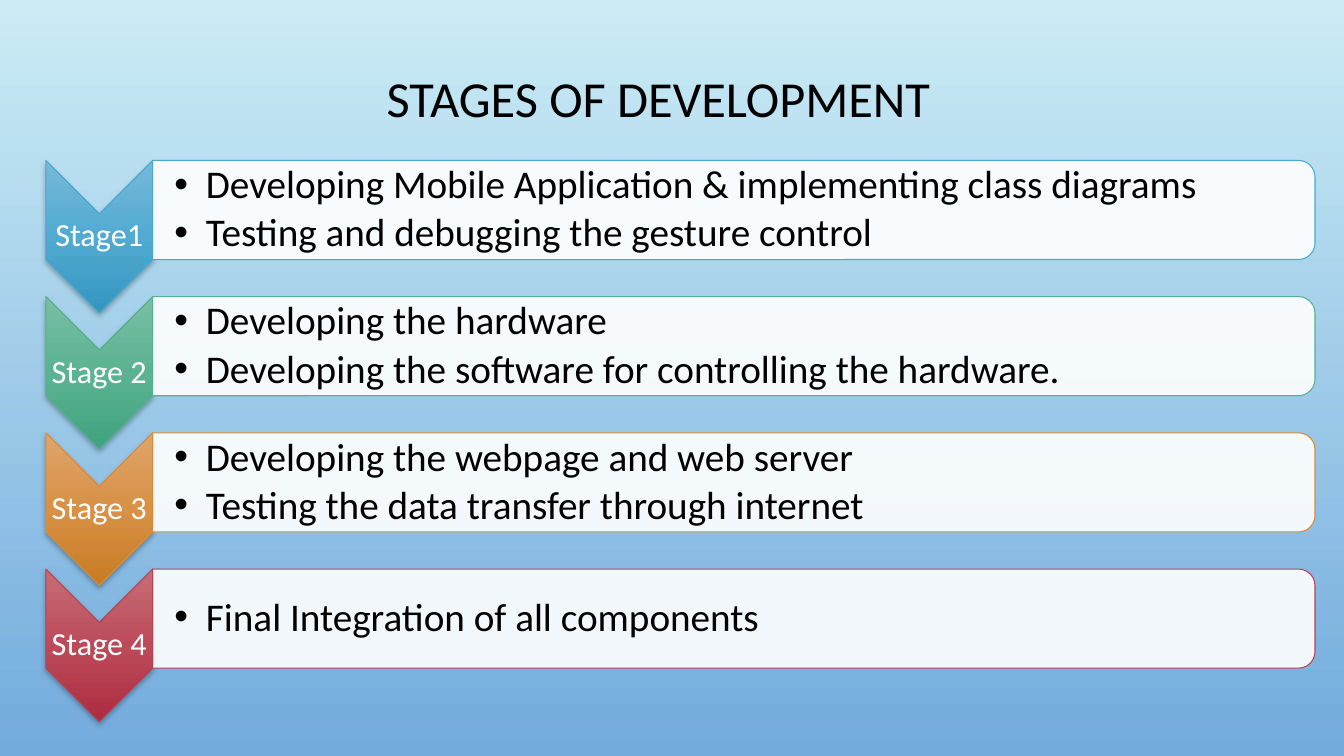
from lxml import etree
from pptx import Presentation
from pptx.dml.color import RGBColor
from pptx.enum.shapes import MSO_SHAPE
from pptx.enum.text import MSO_ANCHOR, PP_ALIGN
from pptx.oxml.ns import qn
from pptx.util import Pt

CHEVRON, ROUND_TOP = MSO_SHAPE.CHEVRON, MSO_SHAPE.ROUND_2_SAME_RECTANGLE
CENTER, LEFT, MIDDLE = PP_ALIGN.CENTER, PP_ALIGN.LEFT, MSO_ANCHOR.MIDDLE

# Content
TITLE = "STAGES OF DEVELOPMENT"
STAGES = [
    ("Stage1", ["Developing Mobile Application & implementing class diagrams",
                "Testing and debugging the gesture control"]),
    ("Stage 2", ["Developing the hardware",
                 "Developing the software for controlling the hardware."]),
    ("Stage 3", ["Developing the webpage and web server",
                 "Testing the data transfer through internet"]),
    ("Stage 4", ["Final Integration of all components"]),
]

THEME = {
    "font": "Calibri", "title_size": 36, "label_size": 23, "task_size": 28,
    "text": "000000", "label": "FFFFFF", "panel": "FFFFFF", "panel_alpha": 90,
    "background": ["CBECF5", "73ABDD"],
    # Outline colour and arrow gradient of each stage
    "stages": [("48A8D0", ["76B9D9", "52AAD1", "3396C0"]),
               ("53B18F", ["79BEA4", "5BB392", "40A27E"]),
               ("D78D38", ["DEA46D", "D89145", "C87B23"]),
               ("BA3F51", ["C66D77", "BC4B5A", "AC2C3F"])],
}

# Layout in points
SLIDE_W, SLIDE_H = 960, 540
TITLE_BOX = (62.4, 9.2, 816, 126)
ROW_TOP, ROW_PITCH = 114.6, 97.3
ARROW_LEFT, ARROW_W, ARROW_H = 32.8, 76.3, 108.9
LABEL_TOP, LABEL_H = 38, 32.4
PANEL_W, PANEL_H = 830.2, 70.8
TASKS_W, TASKS_H = 826.6, 63.8
TASK_INSET, BULLET_INDENT = 15.5, 22.5
EDGE = 1.2


def add(parent, tag, **attributes):
    return etree.SubElement(parent, qn(tag), attributes)


def set_gradient(fill, owner, colors):
    """Fill from top to bottom with evenly spaced colours."""
    fill.gradient()
    gradient = next(owner.iter(qn("a:gradFill")))
    gradient.set("rotWithShape", "0")
    for child in list(gradient):
        gradient.remove(child)
    stops = add(gradient, "a:gsLst")
    for i, color in enumerate(colors):
        stop = add(stops, "a:gs", pos=str(100000 * i // (len(colors) - 1)))
        add(stop, "a:srgbClr", val=color)
    add(gradient, "a:lin", ang="5400000", scaled="0")


def add_upright(kind, left, top, width, height, outline):
    """Add a shape turned by 90 degrees that covers the given box."""
    shape = slide.shapes.add_shape(
        kind, Pt(left + (width - height) / 2), Pt(top + (height - width) / 2),
        Pt(height), Pt(width))
    shape.rotation = 90
    shape.shadow.inherit = False
    shape.line.color.rgb = RGBColor.from_string(outline)
    shape.line.width = Pt(0.75)
    return shape


def add_text(box, lines, size, color, align=CENTER, inset=EDGE, after=0, bullet=False):
    frame = slide.shapes.add_textbox(*map(Pt, box)).text_frame
    frame.word_wrap = True
    frame.vertical_anchor = MIDDLE
    frame.margin_left = Pt(inset)
    frame.margin_top = frame.margin_right = frame.margin_bottom = Pt(EDGE)
    for i, line in enumerate(lines):
        paragraph = frame.add_paragraph() if i else frame.paragraphs[0]
        paragraph.alignment = align
        paragraph.line_spacing = 0.9
        paragraph.space_after = Pt(after)
        if bullet:
            props = paragraph._p.get_or_add_pPr()
            props.set("marL", str(Pt(BULLET_INDENT)))
            props.set("indent", str(-Pt(BULLET_INDENT)))
            add(props, "a:buFont", typeface="Arial")
            add(props, "a:buChar", char="•")
        run = paragraph.add_run()
        run.text = line
        run.font.name = THEME["font"]
        run.font.size = Pt(size)
        run.font.color.rgb = RGBColor.from_string(color)


prs = Presentation()
prs.slide_width, prs.slide_height = Pt(SLIDE_W), Pt(SLIDE_H)
slide = prs.slides.add_slide(prs.slide_layouts[6])
set_gradient(slide.background.fill, slide.element, THEME["background"])

# Title
add_text(TITLE_BOX, [TITLE], THEME["title_size"], THEME["text"])

# One row per stage: arrow, label, panel, tasks
panel_left = ARROW_LEFT + ARROW_W
for row, ((label, tasks), (outline, shades)) in enumerate(zip(STAGES, THEME["stages"])):
    top = ROW_TOP + row * ROW_PITCH

    arrow = add_upright(CHEVRON, ARROW_LEFT, top, ARROW_W, ARROW_H, outline)
    set_gradient(arrow.fill, arrow._element, shades)
    effects = arrow._element.spPr.find(qn("a:effectLst"))
    shadow = add(effects, "a:outerShdw", blurRad=str(Pt(4)), dist=str(Pt(2)),
                 dir="5400000", rotWithShape="0")
    add(add(shadow, "a:srgbClr", val="000000"), "a:alpha", val="28000")
    add_text((ARROW_LEFT, top + LABEL_TOP, ARROW_W, LABEL_H), [label],
             THEME["label_size"], THEME["label"])

    panel = add_upright(ROUND_TOP, panel_left, top, PANEL_W, PANEL_H, outline)
    panel.fill.solid()
    panel.fill.fore_color.rgb = RGBColor.from_string(THEME["panel"])
    panel_color = panel._element.spPr.find(qn("a:solidFill"))[0]
    add(panel_color, "a:alpha", val=str(THEME["panel_alpha"] * 1000))
    add_text((panel_left, top + (PANEL_H - TASKS_H) / 2, TASKS_W, TASKS_H), tasks,
             THEME["task_size"], THEME["text"], LEFT, TASK_INSET,
             after=0.15 * THEME["task_size"], bullet=True)

prs.save("out.pptx")
